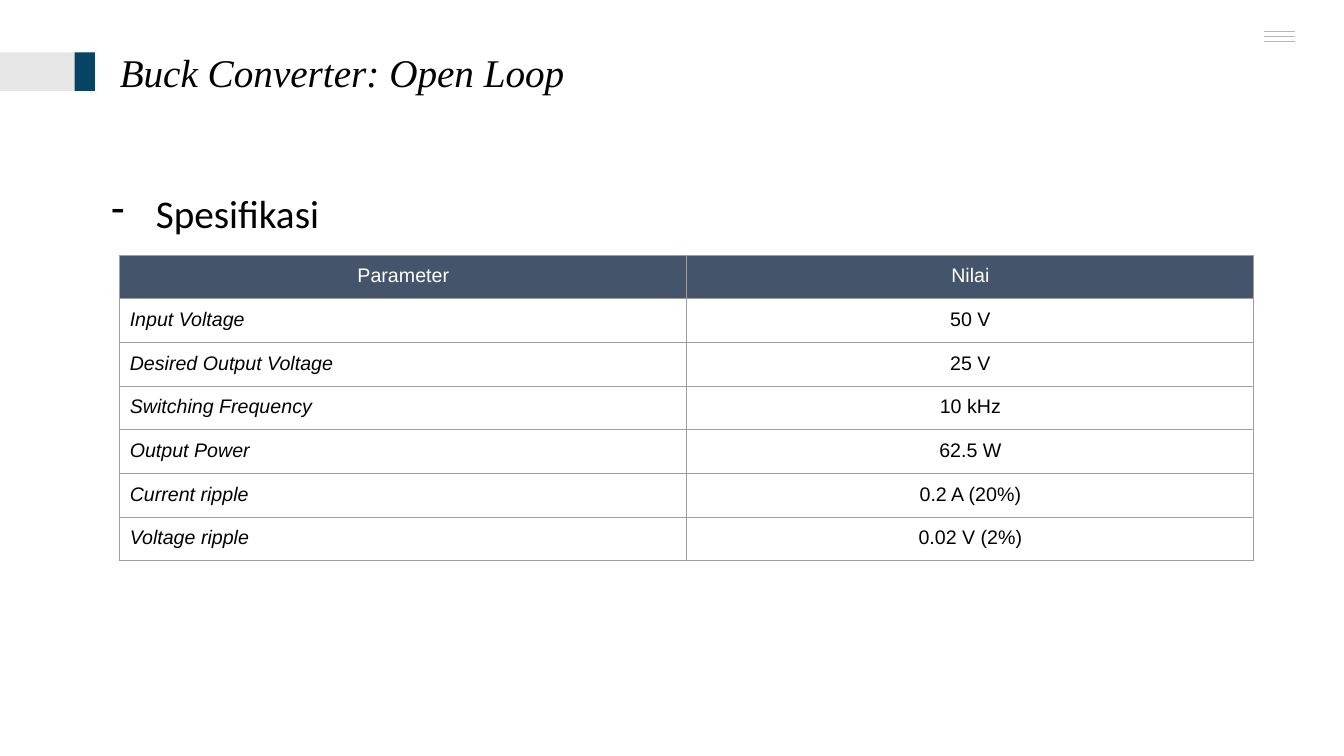
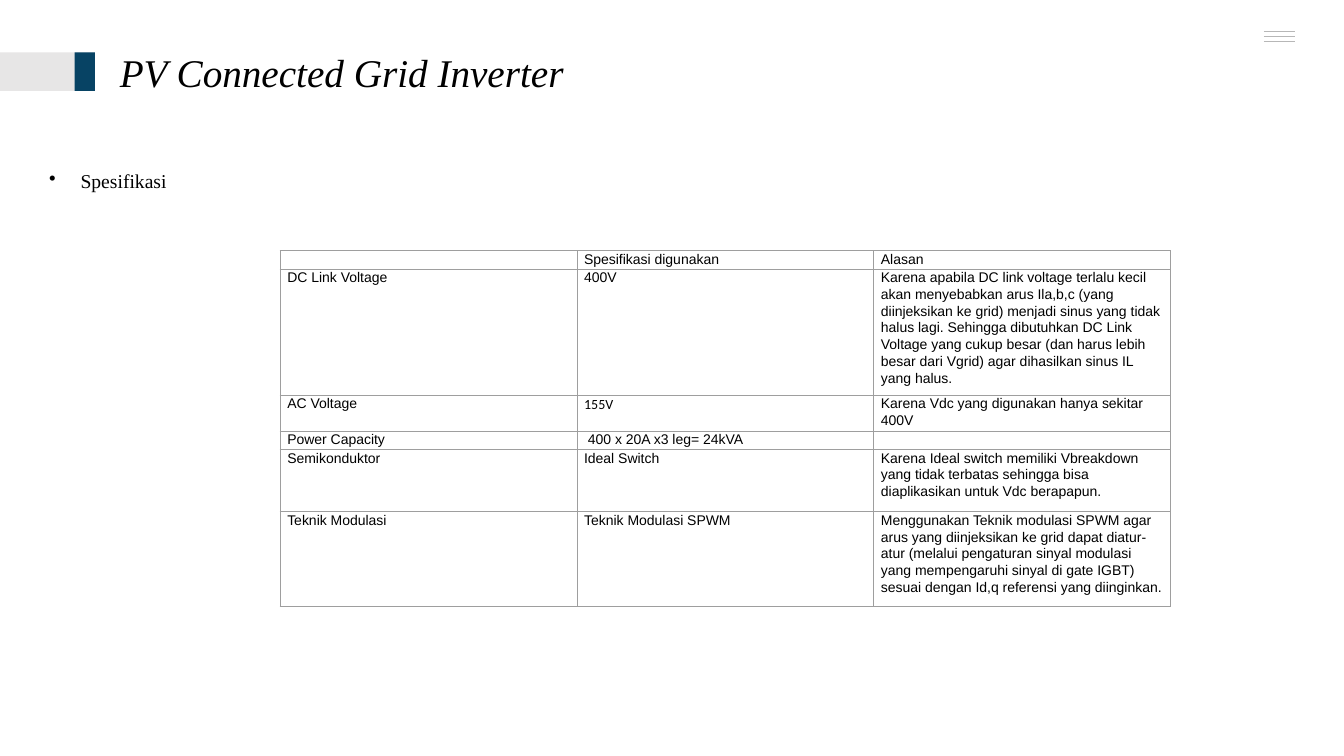
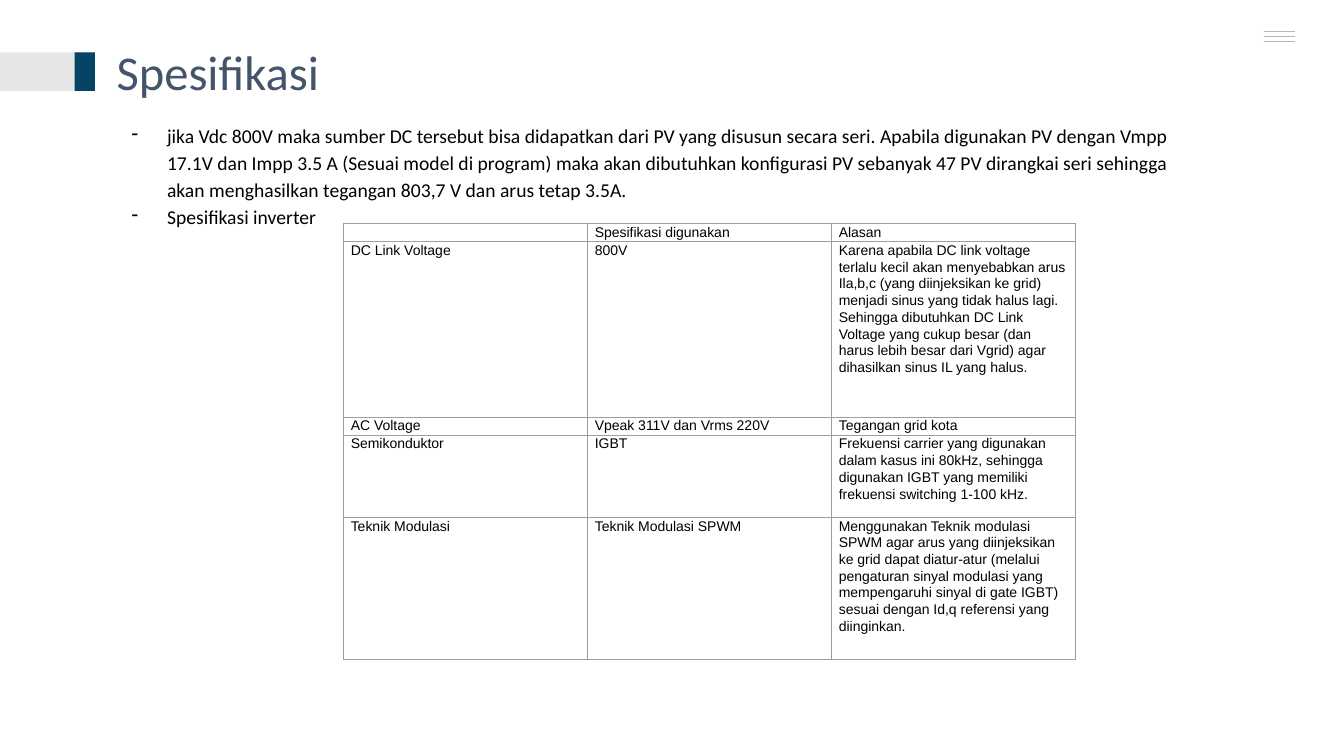
from dataclasses import dataclass
from typing import Optional

from lxml.etree import SubElement
from pptx import Presentation
from pptx.dml.color import RGBColor
from pptx.enum.shapes import MSO_CONNECTOR, MSO_SHAPE
from pptx.enum.text import MSO_ANCHOR, PP_ALIGN
from pptx.oxml.ns import qn
from pptx.slide import Slide
from pptx.table import Table, _Cell
from pptx.text.text import TextFrame, _Paragraph
from pptx.util import Cm, Pt

BLACK = RGBColor(0x00, 0x00, 0x00)
WHITE = RGBColor(0xFF, 0xFF, 0xFF)
SLATE = RGBColor(0x44, 0x54, 0x6A)
NAVY = RGBColor(0x07, 0x43, 0x64)
LIGHT = RGBColor(0xE7, 0xE6, 0xE6)
MENU = RGBColor(0xB7, 0xB7, 0xB7)
BORDER = RGBColor(0x9E, 0x9E, 0x9E)

ARIAL = "Arial"
CALIBRI = "Calibri"
TIMES = "Times New Roman"

REASON_DC = (
    "Karena apabila DC link voltage terlalu kecil akan menyebabkan arus Ila,b,c "
    "(yang diinjeksikan ke grid) menjadi sinus yang tidak halus lagi. Sehingga "
    "dibutuhkan DC Link Voltage yang cukup besar (dan harus lebih besar dari Vgrid) "
    "agar dihasilkan sinus IL yang halus."
)
REASON_SPWM = (
    "Menggunakan Teknik modulasi SPWM agar arus yang diinjeksikan ke grid dapat "
    "diatur-atur (melalui pengaturan sinyal modulasi yang mempengaruhi sinyal di "
    "gate IGBT) sesuai dengan Id,q referensi yang diinginkan."
)
HEADER = ("", "Spesifikasi digunakan", "Alasan")
MODULATION = ("Teknik Modulasi", "Teknik Modulasi SPWM", REASON_SPWM)


@dataclass(frozen=True)
class Style:
    font: str
    size: float
    color: RGBColor = BLACK
    italic: bool = False


@dataclass(frozen=True)
class Title:
    text: str
    style: Style = Style(TIMES, 28, italic=True)
    inset: float = 0.33


@dataclass(frozen=True)
class Bullets:
    box: tuple[float, float, float, float]
    items: tuple[str, ...]
    style: Style
    char: str
    indent: float
    hang: float
    align: PP_ALIGN = PP_ALIGN.LEFT
    spacing: Optional[float] = None


@dataclass(frozen=True)
class Grid:
    left: float
    top: float
    col_width: float
    heights: tuple[float, ...]
    rows: tuple[tuple[str, ...], ...]


def style_runs(p: _Paragraph, style: Style) -> None:
    for r in p.runs:
        r.font.name = style.font
        r.font.size = Pt(style.size)
        r.font.color.rgb = style.color
        r.font.italic = style.italic
        r.font.bold = False


def add_text_frame(s: Slide, box: tuple[float, float, float, float], inset: float) -> TextFrame:
    tf = s.shapes.add_textbox(*map(Cm, box)).text_frame
    tf.word_wrap = True
    tf.margin_left = tf.margin_right = tf.margin_top = tf.margin_bottom = Cm(inset)
    return tf


def add_block(s: Slide, left: float, width: float, color: RGBColor) -> None:
    sp = s.shapes.add_shape(MSO_SHAPE.RECTANGLE, Cm(left), Cm(1.32), Cm(width), Cm(0.97))
    sp.shadow.inherit = False
    sp.fill.solid()
    sp.fill.fore_color.rgb = color
    sp.line.fill.background()


def add_frame(s: Slide, title: Title) -> None:
    for i in range(3):
        y = Cm(0.8 + 0.12 * i)
        line = s.shapes.add_connector(MSO_CONNECTOR.STRAIGHT, Cm(31.85), y, Cm(32.64), y)
        line.line.color.rgb = MENU
        line.line.width = Pt(0.75)
        SubElement(line._element.spPr, qn("a:effectLst"))
    add_block(s, 0, 2.39, LIGHT)
    add_block(s, 1.88, 0.51, NAVY)
    tf = add_text_frame(s, (2.69, 0.81, 28.47, 1.98), title.inset)
    tf.vertical_anchor = MSO_ANCHOR.MIDDLE
    tf.text = title.text
    style_runs(tf.paragraphs[0], title.style)


def add_bullets(s: Slide, bullets: Bullets) -> None:
    tf = add_text_frame(s, bullets.box, 0.25)
    tf.text = "\n".join(bullets.items)
    for p in tf.paragraphs:
        pPr = p._p.get_or_add_pPr()
        pPr.set("marL", str(Cm(bullets.indent)))
        pPr.set("indent", str(-Cm(bullets.hang)))
        SubElement(SubElement(pPr, qn("a:buClr")), qn("a:srgbClr"), val=str(BLACK))
        SubElement(pPr, qn("a:buChar"), char=bullets.char)
        p.alignment = bullets.align
        p.line_spacing = bullets.spacing
        style_runs(p, bullets.style)


def set_borders(cell: _Cell) -> None:
    tcPr = cell._tc.get_or_add_tcPr()
    for side in ("lnL", "lnR", "lnT", "lnB"):
        ln = SubElement(tcPr, qn(f"a:{side}"), w=str(Pt(0.75)))
        SubElement(SubElement(ln, qn("a:solidFill")), qn("a:srgbClr"), val=str(BORDER))


def set_cell(cell: _Cell, text: str, style: Style, margin_x: float, margin_y: float) -> _Paragraph:
    set_borders(cell)
    cell.fill.background()
    cell.margin_left = cell.margin_right = Cm(margin_x)
    cell.margin_top = cell.margin_bottom = Cm(margin_y)
    cell.text_frame.text = text
    p = cell.text_frame.paragraphs[0]
    style_runs(p, style)
    if not text:
        SubElement(p._p, qn("a:endParaRPr"), sz=str(int(style.size * 100)))
    return p


def add_grid(s: Slide, grid: Grid) -> Table:
    cols = len(grid.rows[0])
    table = s.shapes.add_table(
        len(grid.rows), cols, Cm(grid.left), Cm(grid.top),
        Cm(grid.col_width * cols), Cm(sum(grid.heights)),
    ).table
    table.first_row = table.horz_banding = False
    for col in table.columns:
        col.width = Cm(grid.col_width)
    for row, height in zip(table.rows, grid.heights):
        row.height = Cm(height)
    return table


def add_parameter_table(s: Slide, grid: Grid) -> None:
    table = add_grid(s, grid)
    for i, row in enumerate(grid.rows):
        for j, text in enumerate(row):
            is_header = i == 0
            is_name = j == 0 and not is_header
            cell = table.cell(i, j)
            style = Style(ARIAL, 14, WHITE if is_header else BLACK, is_name)
            p = set_cell(cell, text, style, 0.25, 0.25)
            p.alignment = PP_ALIGN.LEFT if is_name else PP_ALIGN.CENTER
            if is_header:
                cell.fill.solid()
                cell.fill.fore_color.rgb = SLATE


def add_reason_table(s: Slide, grid: Grid) -> Table:
    table = add_grid(s, grid)
    for i, row in enumerate(grid.rows):
        for j, text in enumerate(row):
            p = set_cell(table.cell(i, j), text, Style(ARIAL, 10), 0.18, 0)
            p.line_spacing = 1.07
            p.space_after = Pt(8)
    return table


def main() -> None:
    prs = Presentation()
    prs.slide_width, prs.slide_height = Cm(33.87), Cm(19.05)

    def new_slide(title: Title) -> Slide:
        s = prs.slides.add_slide(prs.slide_layouts[6])
        add_frame(s, title)
        return s

    s = new_slide(Title("Buck Converter: Open Loop"))
    add_bullets(s, Bullets((2.41, 4.52, 27.36, 12.5), ("Spesifikasi",),
                           Style(CALIBRI, 28), "-", 1.27, 1.12))
    add_parameter_table(s, Grid(3.02, 6.43, 14.29, (1.1,) * 7, (
        ("Parameter", "Nilai"),
        ("Input Voltage", "50 V"),
        ("Desired Output Voltage", "25 V"),
        ("Switching Frequency", "10 kHz"),
        ("Output Power", "62.5 W"),
        ("Current ripple", "0.2 A (20%)"),
        ("Voltage ripple", "0.02 V (2%)"),
    )))

    s = new_slide(Title("PV Connected Grid Inverter"))
    add_bullets(s, Bullets((0.84, 4.01, 32.18, 9.5), ("Spesifikasi",),
                           Style(TIMES, 14), "•", 0.94, 0.79, PP_ALIGN.JUSTIFY))
    table = add_reason_table(s, Grid(7.06, 6.32, 7.48, (0.46, 3.18, 0.9, 0.46, 1.57, 2.39), (
        HEADER,
        ("DC Link Voltage", "400V", REASON_DC),
        ("AC Voltage", "155V", "Karena Vdc yang digunakan hanya sekitar 400V"),
        ("Power Capacity", " 400 x 20A x3 leg= 24kVA", ""),
        ("Semikonduktor", "Ideal Switch",
         "Karena Ideal switch memiliki Vbreakdown yang tidak terbatas sehingga bisa "
         "diaplikasikan untuk Vdc berapapun."),
        MODULATION,
    )))
    style_runs(table.cell(2, 1).text_frame.paragraphs[0], Style(CALIBRI, 10))

    s = new_slide(Title("Spesifikasi", Style(CALIBRI, 34.7, SLATE), 0.25))
    add_bullets(s, Bullets((2.69, 2.79, 27.15, 10.9), (
        "jika Vdc 800V maka sumber DC tersebut bisa didapatkan dari PV yang disusun "
        "secara seri. Apabila digunakan PV dengan Vmpp 17.1V dan Impp 3.5 A (Sesuai "
        "model di program) maka akan dibutuhkan konfigurasi PV sebanyak 47 PV dirangkai "
        "seri sehingga akan menghasilkan tegangan 803,7 V dan arus tetap 3.5A.",
        "Spesifikasi inverter",
    ), Style(CALIBRI, 14), "-", 1.27, 0.89, spacing=1.15))
    add_reason_table(s, Grid(8.66, 5.64, 6.15, (0.43, 4.42, 0.43, 2.07, 3.58), (
        HEADER,
        ("DC Link Voltage", "800V", REASON_DC),
        ("AC Voltage", "Vpeak 311V dan Vrms 220V", "Tegangan grid kota"),
        ("Semikonduktor", "IGBT",
         "Frekuensi carrier yang digunakan dalam kasus ini 80kHz, sehingga digunakan "
         "IGBT yang memiliki frekuensi switching 1-100 kHz."),
        MODULATION,
    )))

    prs.save("out.pptx")


if __name__ == "__main__":
    main()
